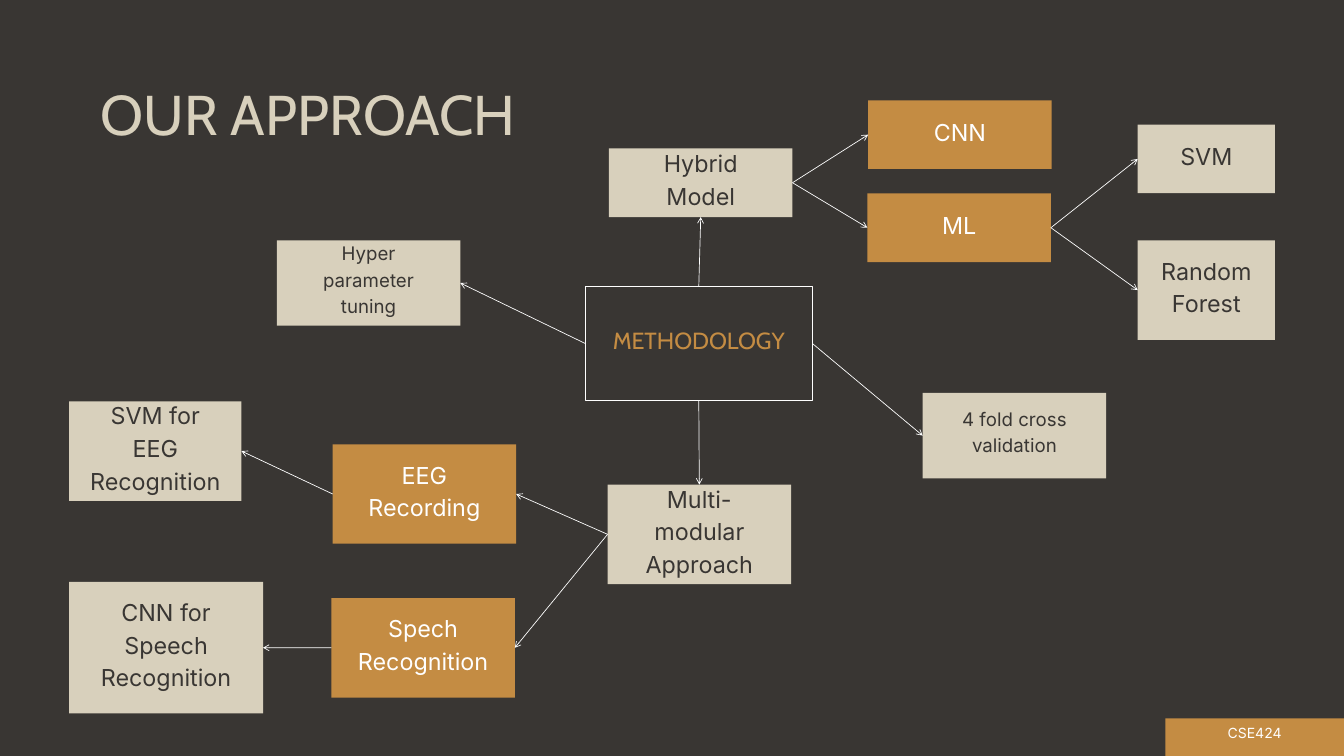
from pptx import Presentation
from pptx import util as u
from pptx.dml.color import RGBColor
from pptx.enum import shapes, text
from pptx.oxml.ns import qn
from lxml import etree

Pt = u.Pt


def tint(part, code):
    part.solid()
    part.fore_color.rgb = RGBColor.from_string(code)


def write(frame, words, size, face, code, lead, side):
    form = {
        "word_wrap": True,
        "margin_left": Pt(side),
        "margin_right": Pt(side),
        "margin_top": 0,
        "margin_bottom": 0,
    }
    for key, val in form.items():
        setattr(frame, key, val)
    frame.text = words
    for para in frame.paragraphs:
        para.line_spacing = Pt(lead)
        for key, val in {"size": Pt(size), "name": face}.items():
            setattr(para.font, key, val)
        tint(para.font.fill, code)


dark, sand, gold, white = "393633", "D8D0BC", "C48C43", "FFFFFF"

deck = Presentation()
deck.slide_width, deck.slide_height = Pt(1440), Pt(810)
slide = deck.slides.add_slide(deck.slide_layouts[6])
tint(slide.background.fill, dark)

title = slide.shapes.add_textbox(Pt(108), Pt(85), Pt(494), Pt(73.5))
write(title.text_frame, "OUR APPROACH", 60, "Cabin", sand, 72, 0)

looks = {
    "root": (dark, gold, "Cabin", 25, 35, 20),
    "pale": (sand, dark, "Inter", 25, 35, 20),
    "small": (sand, dark, "Inter", 20, 28, 20),
    "warm": (gold, white, "Inter", 25, 35, 20),
    "foot": (gold, white, "Inter", 15, 21, 4),
}
wide, low, tall = 196.6, 73.6, 106.6
nodes = [
    ("root", "METHODOLOGY", 627, 307.2, 243.4, 121.6),
    ("small", "Hyper parameter tuning", 296.6, 257.5, wide, 91.5),
    ("pale", "Hybrid Model", 652.5, 159, wide, low),
    ("pale", "Multi-modular Approach", 651, 519.2, wide, tall),
    ("small", "4 fold cross validation", 988.6, 421, wide, 91.5),
    ("warm", "ML", 929.4, 207.2, wide, low),
    ("warm", "CNN", 930.2, 107.5, wide, low),
    ("pale", "Random Forest", 1219, 257.5, 147, tall),
    ("pale", "SVM", 1219, 133.5, 147, low),
    ("warm", "Spech Recognition", 355, 640.8, wide, tall),
    ("warm", "EEG Recording", 356.4, 476, wide, tall),
    ("pale", "CNN for Speech Recognition", 74, 623.5, 207.8, 141),
    ("pale", "SVM for EEG\nRecognition", 74, 430, 184.7, tall),
    ("foot", "CSE424", 1248.6, 769.6, 191.4, 40.4),
]
made = {}
for look, words, *spot in nodes:
    fill, ink, face, size, lead, side = looks[look]
    box = slide.shapes.add_shape(shapes.MSO_SHAPE.RECTANGLE, *map(Pt, spot))
    box.shadow.inherit = False
    tint(box.fill, fill)
    if look == "root":
        tint(box.line.fill, white)
        box.line.width = Pt(0.75)
    else:
        box.line.fill.background()
    frame = box.text_frame
    write(frame, words, size, face, ink, lead, side)
    frame.margin_bottom = Pt(11.4)
    frame.vertical_anchor = text.MSO_ANCHOR.MIDDLE
    for para in frame.paragraphs:
        para.alignment = text.PP_ALIGN.CENTER
    made[words.replace("\n", " ")] = box

top, left, base, right = range(4)
links = [
    ("METHODOLOGY", right, "4 fold cross validation", left),
    ("METHODOLOGY", top, "Hybrid Model", base),
    ("METHODOLOGY", base, "Multi-modular Approach", top),
    ("METHODOLOGY", left, "Hyper parameter tuning", right),
    ("Hybrid Model", right, "ML", left),
    ("Hybrid Model", right, "CNN", left),
    ("ML", right, "Random Forest", left),
    ("ML", right, "SVM", left),
    ("Multi-modular Approach", left, "Spech Recognition", right),
    ("Multi-modular Approach", left, "EEG Recording", right),
    ("Spech Recognition", left, "CNN for Speech Recognition", right),
    ("EEG Recording", left, "SVM for EEG Recognition", right),
]
for start, exit, end, entry in links:
    line = slide.shapes.add_connector(shapes.MSO_CONNECTOR.STRAIGHT, 0, 0, 0, 0)
    line.begin_connect(made[start], exit)
    line.end_connect(made[end], entry)
    tint(line.line.fill, white)
    line.line.width = Pt(0.75)
    etree.SubElement(line.line._get_or_add_ln(), qn("a:tailEnd"), type="arrow")
    etree.SubElement(line._element.spPr, qn("a:effectLst"))

deck.save("out.pptx")
